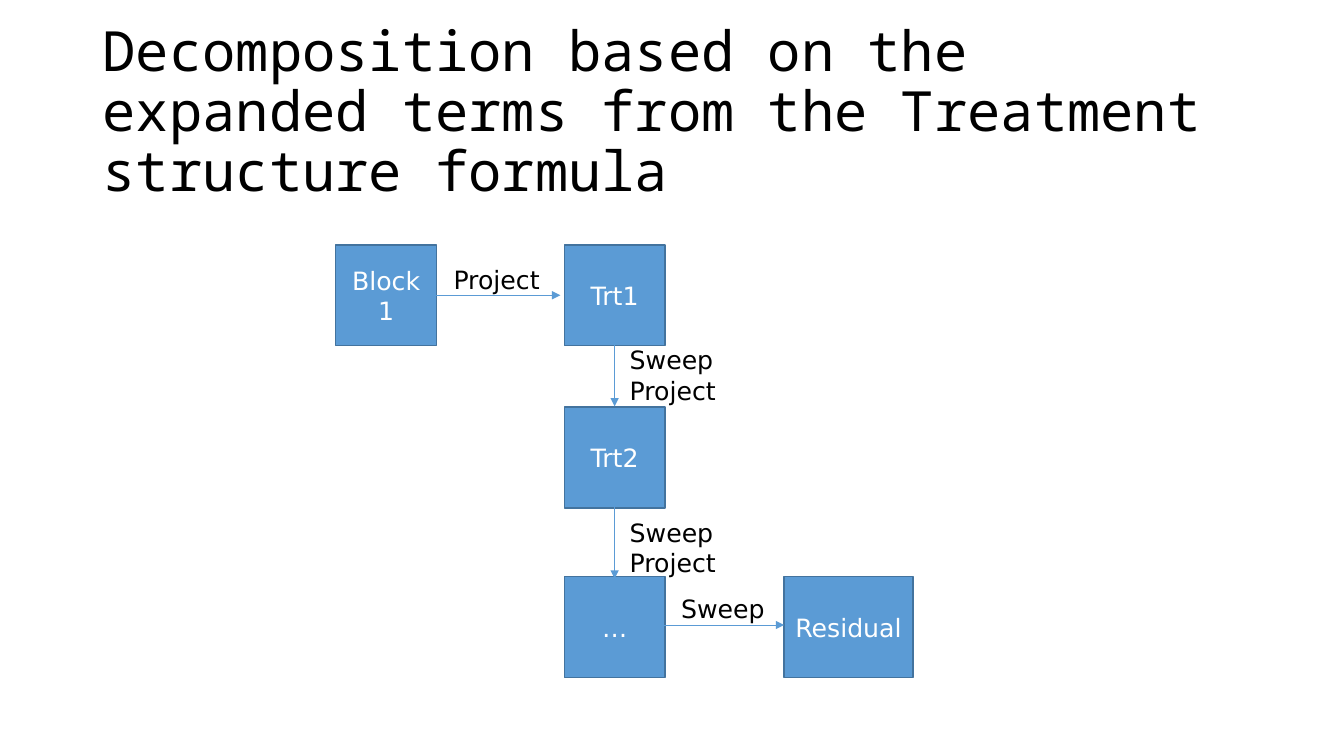
from lxml import etree
from pptx import Presentation
from pptx.dml.color import RGBColor
from pptx.enum.shapes import MSO_CONNECTOR, MSO_SHAPE
from pptx.enum.text import MSO_ANCHOR, PP_ALIGN
from pptx.oxml.ns import qn
from pptx.util import Cm, Pt

RECTANGLE = MSO_SHAPE.RECTANGLE
STRAIGHT = MSO_CONNECTOR.STRAIGHT
TOP, MIDDLE = MSO_ANCHOR.TOP, MSO_ANCHOR.MIDDLE
LEFT, CENTER = PP_ALIGN.LEFT, PP_ALIGN.CENTER

BLUE = RGBColor(0x5B, 0x9B, 0xD5)
DARK_BLUE = RGBColor(0x43, 0x73, 0x9E)
BLACK = RGBColor(0x00, 0x00, 0x00)
WHITE = RGBColor(0xFF, 0xFF, 0xFF)

TITLE_FONT = {"name": "Noto Sans Mono", "size": Pt(39.6)}
BODY_FONT = {"name": "DejaVu Sans", "size": Pt(18)}

TITLE = "Decomposition based on the expanded terms from the Treatment structure formula"
SIDE = 2.54
BOXES = [
    ("Block1", 8.46, 6.17, SIDE),
    ("Trt1", 14.22, 6.17, SIDE),
    ("Trt2", 14.22, 10.26, SIDE),
    ("…", 14.22, 14.53, SIDE),
    ("Residual", 19.76, 14.53, 3.25),
]
ARROWS = [
    (11, 7.44, 14.12, 7.44),
    (15.49, 8.43, 15.49, 10.24),
    (15.49, 12.78, 15.49, 14.58),
    (16.61, 15.75, 19.76, 15.75),
]
LABELS = [
    (["Project"], 11.18, 6.53, LEFT),
    (["Sweep", "Project"], 15.62, 8.56, LEFT),
    (["Sweep", "Project"], 15.62, 12.9, LEFT),
    (["Sweep"], 16.76, 14.83, CENTER),
]


def write_text(shape, lines, font, color, align, anchor, spacing=1.0):
    """Fill a shape with one formatted paragraph per line."""
    frame = shape.text_frame
    frame.word_wrap = True
    frame.vertical_anchor = anchor
    frame.text = "\n".join(lines)
    for para in frame.paragraphs:
        para.alignment = align
        para.line_spacing = spacing
        for span in para.runs:
            for name, value in font.items():
                setattr(span.font, name, value)
            span.font.color.rgb = color


def add_title(page):
    """Add the slide heading."""
    title = page.shapes.add_textbox(Cm(2.34), Cm(1.02), Cm(29.21), Cm(3.68))
    write_text(title, [TITLE], TITLE_FONT, BLACK, LEFT, MIDDLE, 0.9)


def add_box(page, text, left, top, width):
    """Add a blue box of the flow."""
    box = page.shapes.add_shape(RECTANGLE, Cm(left), Cm(top), Cm(width), Cm(SIDE))
    box.shadow.inherit = False
    box.fill.solid()
    box.fill.fore_color.rgb = BLUE
    box.line.color.rgb = DARK_BLUE
    box.line.width = Pt(1)
    write_text(box, [text], BODY_FONT, WHITE, CENTER, MIDDLE)


def add_arrow(page, *ends):
    """Add a thin arrow between two points."""
    arrow = page.shapes.add_connector(STRAIGHT, *map(Cm, ends))
    arrow.line.color.rgb = BLUE
    arrow.line.width = Pt(0.5)
    etree.SubElement(arrow.line._get_or_add_ln(), qn("a:tailEnd"), type="triangle")
    etree.SubElement(arrow._element.spPr, qn("a:effectLst"))


def add_label(page, lines, left, top, align):
    """Add the step names beside an arrow."""
    height = 0.25 + 0.77 * len(lines)
    label = page.shapes.add_textbox(Cm(left), Cm(top), Cm(2.92), Cm(height))
    write_text(label, lines, BODY_FONT, BLACK, align, TOP)


def main():
    """Build and save the slide."""
    deck = Presentation()
    deck.slide_width, deck.slide_height = Cm(33.87), Cm(19.05)
    page = deck.slides.add_slide(deck.slide_layouts[6])
    add_title(page)
    for box in BOXES:
        add_box(page, *box)
    for arrow in ARROWS:
        add_arrow(page, *arrow)
    for label in LABELS:
        add_label(page, *label)
    deck.save("out.pptx")


if __name__ == "__main__":
    main()
